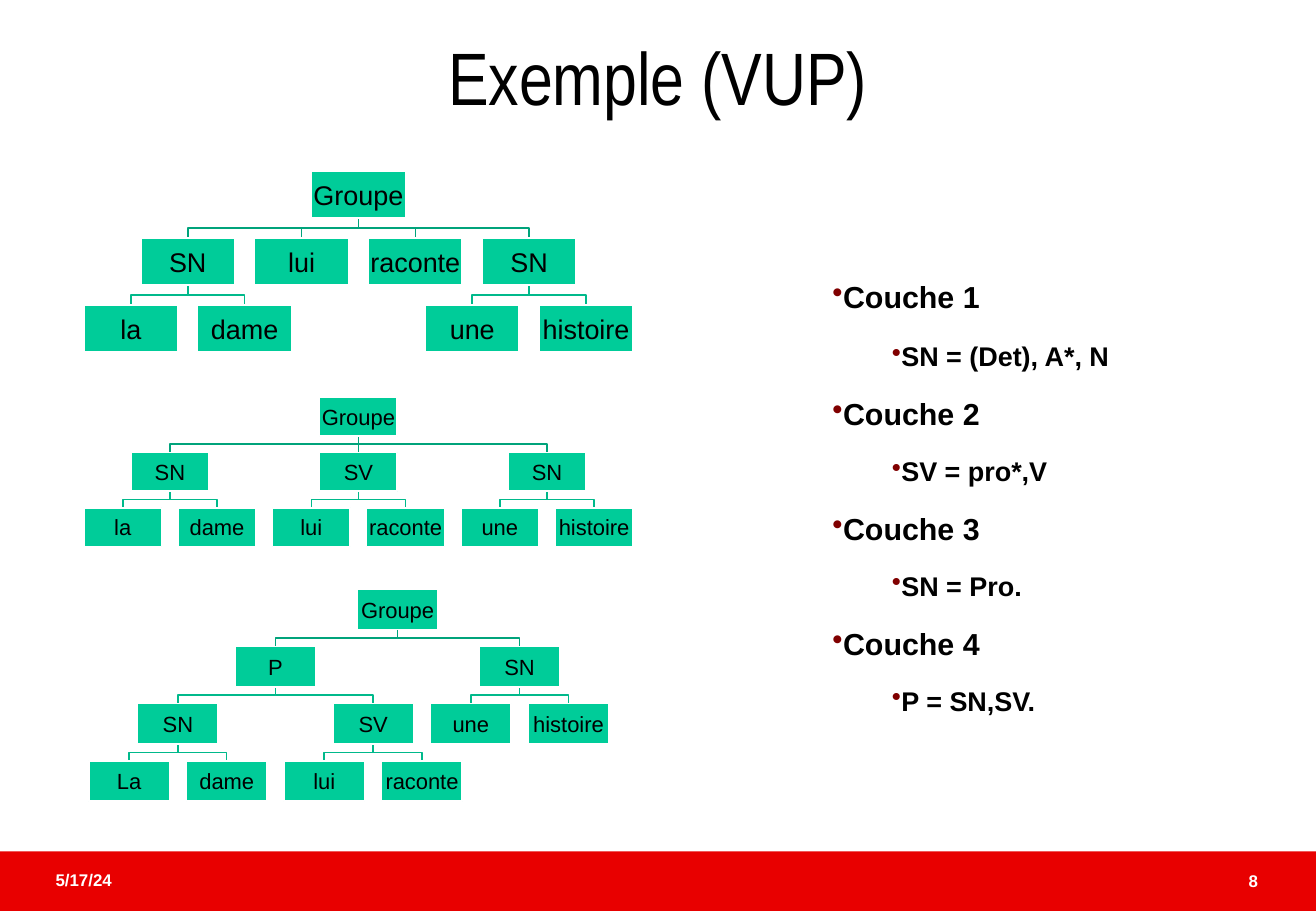
from collections import namedtuple
from dataclasses import dataclass

from lxml.etree import SubElement
from pptx import Presentation
from pptx.dml.color import RGBColor
from pptx.enum.shapes import MSO_CONNECTOR, MSO_SHAPE
from pptx.enum.text import MSO_ANCHOR, PP_ALIGN
from pptx.oxml.ns import qn
from pptx.util import Inches, Pt

TITLE = "Exemple (VUP)"
DATE = "5/17/24"
PAGE = "8"

LADY = ("SN", ["la", "dame"])
STORY = ("SN", ["une", "histoire"])
TOLD = ("SV", ["lui", "raconte"])
SENTENCE = ("P", [("SN", ["La", "dame"]), TOLD])

TREES = [
    {"left": 0.69, "top": 1.41, "span": 4.52, "size": 16,
     "root": ("Groupe", [LADY, "lui", "raconte", STORY])},
    {"left": 0.69, "top": 3.27, "span": 4.52, "size": 13,
     "root": ("Groupe", [LADY, TOLD, STORY])},
    {"left": 0.73, "top": 4.85, "span": 4.28, "size": 13,
     "root": ("Groupe", [SENTENCE, STORY])},
]

LAYERS = [
    ("Couche 1", "SN = (Det), A*, N"),
    ("Couche 2", "SV = pro*,V"),
    ("Couche 3", "SN = Pro."),
    ("Couche 4", "P = SN,SV."),
]


@dataclass(frozen=True)
class Theme:
    font: str = "Arial"
    title_font: str = "Arial Narrow"
    ink: str = "000000"
    paper: str = "FFFFFF"
    band: str = "E80000"
    node: str = "00CC99"
    top_branch: str = "00A37B"
    low_branch: str = "00B98B"
    bullet: str = "800000"
    shadow: str = "808080"
    title_size: int = 44
    layer_size: int = 18
    rule_size: int = 16
    footer_size: int = 10


THEME = Theme()
COLUMN_PITCH, ROW_PITCH, NODE_HEIGHT = 1.21, 0.71, 0.5
Node = namedtuple("Node", "label depth x parent_x")


def rgb(value):
    return RGBColor.from_string(value)


def style(paragraph, size, color, bold=False, font=THEME.font):
    paragraph.font.name = font
    paragraph.font.size = Pt(size)
    paragraph.font.bold = bold
    paragraph.font.color.rgb = rgb(color)


def add_box(slide, left, top, width, height, fill, line=None):
    box = slide.shapes.add_shape(MSO_SHAPE.RECTANGLE, Inches(left), Inches(top),
                                 Inches(width), Inches(height))
    box.shadow.inherit = False
    box.fill.solid()
    box.fill.fore_color.rgb = rgb(fill)
    if line:
        box.line.color.rgb = rgb(line)
        box.line.width = Pt(1)
    else:
        box.line.fill.background()
    return box


def add_text(slide, left, top, width, height, inset_x=0.1, inset_y=0.05):
    frame = slide.shapes.add_textbox(Inches(left), Inches(top), Inches(width),
                                     Inches(height)).text_frame
    frame.word_wrap = True
    frame.margin_left = frame.margin_right = Inches(inset_x)
    frame.margin_top = frame.margin_bottom = Inches(inset_y)
    return frame


def arrange(tree):
    label, children = (tree, []) if isinstance(tree, str) else tree
    placed, centers = [], []
    for child in children:
        branch = arrange(child)
        shift = max((a.x + 1 - b.x for a in placed for b in branch
                     if a.depth == b.depth + 1), default=0)
        centers.append(branch[0].x + shift)
        placed += [Node(n.label, n.depth + 1, n.x + shift,
                        None if n.parent_x is None else n.parent_x + shift)
                   for n in branch]
    x = (centers[0] + centers[-1]) / 2 if centers else 0
    return [Node(label, 0, x, None)] + [
        n._replace(parent_x=x) if n.parent_x is None else n for n in placed]


def add_branch(slide, start_x, start_y, end_x, end_y, color):
    x1, y1, x2, y2 = map(Inches, (start_x, start_y, end_x, end_y))
    if x1 == x2:
        branch = slide.shapes.add_connector(MSO_CONNECTOR.STRAIGHT, x1, y1, x2, y2)
    else:
        middle = (y1 + y2) // 2
        outline = slide.shapes.build_freeform(x1, y1)
        outline.add_line_segments([(x1, middle), (x2, middle), (x2, y2)], close=False)
        branch = outline.convert_to_shape()
        branch.fill.background()
    branch.line.color.rgb = rgb(color)
    branch.line.width = Pt(1)
    SubElement(branch._element.spPr, qn("a:effectLst"))


def add_tree(slide, left, top, span, size, root):
    nodes = arrange(root)
    width = span / (1 + COLUMN_PITCH * max(n.x for n in nodes))
    height = width * NODE_HEIGHT

    def center(x):
        return left + width * (0.5 + COLUMN_PITCH * x)

    def row_top(depth):
        return top + width * ROW_PITCH * depth

    for node in nodes[1:]:
        add_branch(slide, center(node.parent_x), row_top(node.depth - 1) + height,
                   center(node.x), row_top(node.depth),
                   THEME.top_branch if node.depth == 1 else THEME.low_branch)
    for node in nodes:
        frame = add_box(slide, center(node.x) - width / 2, row_top(node.depth),
                        width, height, THEME.node, THEME.paper).text_frame
        frame.word_wrap = False
        frame.vertical_anchor = MSO_ANCHOR.MIDDLE
        frame.margin_left = frame.margin_right = Inches(0.01)
        frame.margin_top = frame.margin_bottom = Inches(0.01)
        frame.text = node.label
        frame.paragraphs[0].alignment = PP_ALIGN.CENTER
        style(frame.paragraphs[0], size, THEME.ink)


def add_title(slide):
    frame = add_text(slide, 0.81, 0, 9.21, 1.25, 0.11, 0.06)
    frame.vertical_anchor = MSO_ANCHOR.MIDDLE
    frame.text = TITLE
    paragraph = frame.paragraphs[0]
    paragraph.alignment = PP_ALIGN.CENTER
    style(paragraph, THEME.title_size, THEME.ink, font=THEME.title_font)
    effects = SubElement(paragraph.runs[0].font._element, qn("a:effectLst"))
    shadow = SubElement(effects, qn("a:outerShdw"), dist="38100", dir="2700000")
    SubElement(shadow, qn("a:srgbClr"), val=THEME.shadow)


def add_layers(slide):
    frame = add_text(slide, 6.42, 2.08, 4.5, 4.92, 0.11, 0.06)
    lines = [(text, level) for layer in LAYERS for level, text in enumerate(layer)]
    for index, (text, level) in enumerate(lines):
        paragraph = frame.paragraphs[0] if index == 0 else frame.add_paragraph()
        paragraph.text = text
        paragraph.level = level
        props = paragraph._p.get_or_add_pPr()
        props.set("marL", str(Inches((0.13, 0.62)[level])))
        props.set("indent", str(Inches(0.19)))
        if index < 2:
            paragraph.line_spacing = 1.5
        for tag, percent in (("a:spcBef", 0 if index < 2 else 50), ("a:spcAft", 30)):
            SubElement(SubElement(props, qn(tag)), qn("a:spcPct"), val=str(percent * 1000))
        SubElement(SubElement(props, qn("a:buClr")), qn("a:srgbClr"), val=THEME.bullet)
        SubElement(props, qn("a:buChar"), char="•")
        style(paragraph, (THEME.layer_size, THEME.rule_size)[level], THEME.ink, bold=True)


def add_footer(slide):
    add_box(slide, 0, 7.01, 10.83, 0.49, THEME.band)
    for text, left, top, alignment in ((DATE, 0.36, 7.11, PP_ALIGN.LEFT),
                                       (PAGE, 8.19, 7.12, PP_ALIGN.RIGHT)):
        frame = add_text(slide, left, top, 2.26, 0.5)
        frame.text = text
        frame.paragraphs[0].alignment = alignment
        style(frame.paragraphs[0], THEME.footer_size, THEME.paper, bold=True)


def main():
    deck = Presentation()
    deck.slide_width, deck.slide_height = Inches(10.83), Inches(7.5)
    slide = deck.slides.add_slide(deck.slide_layouts[6])
    add_footer(slide)
    add_title(slide)
    for tree in TREES:
        add_tree(slide, **tree)
    add_layers(slide)
    deck.save("out.pptx")


if __name__ == "__main__":
    main()
